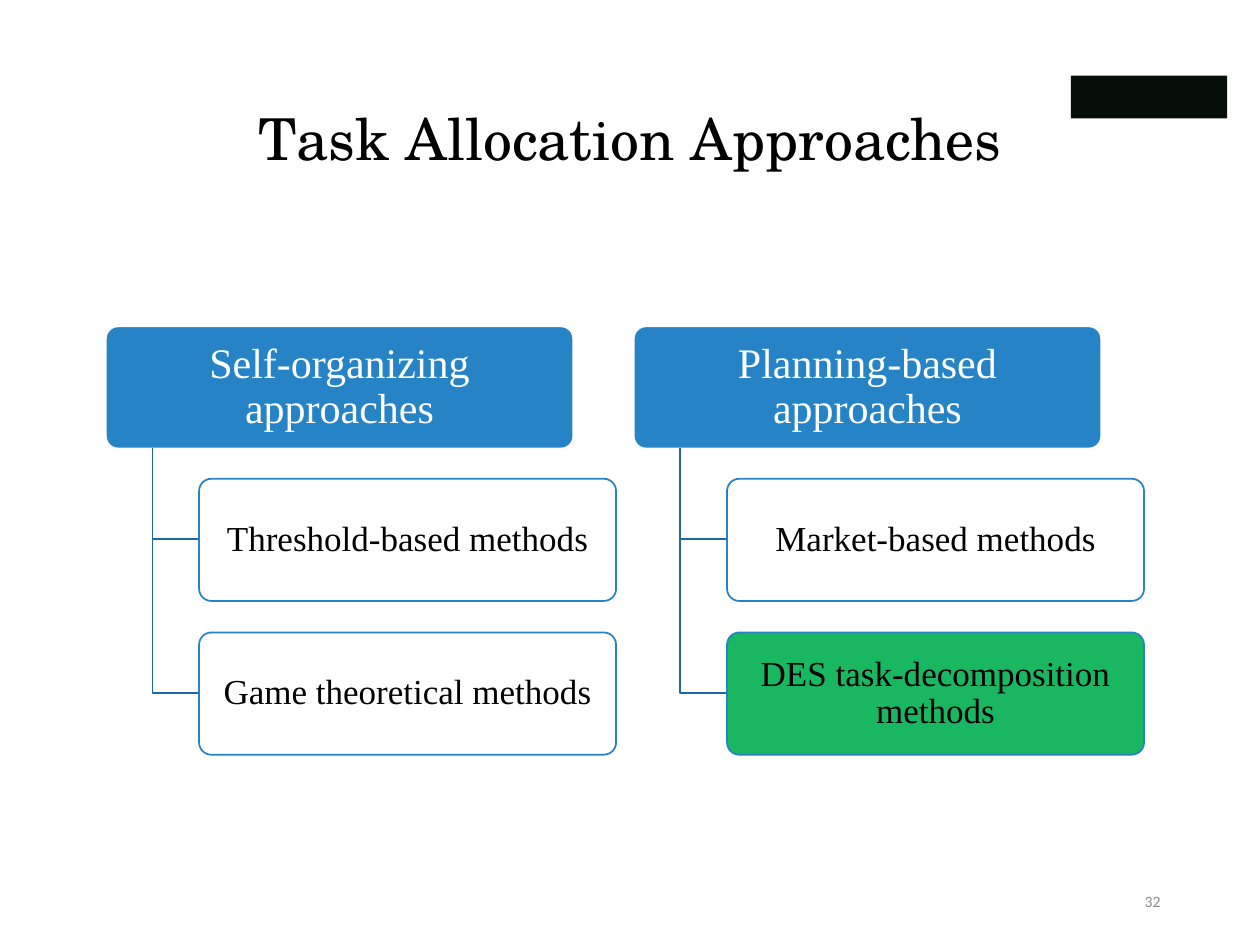
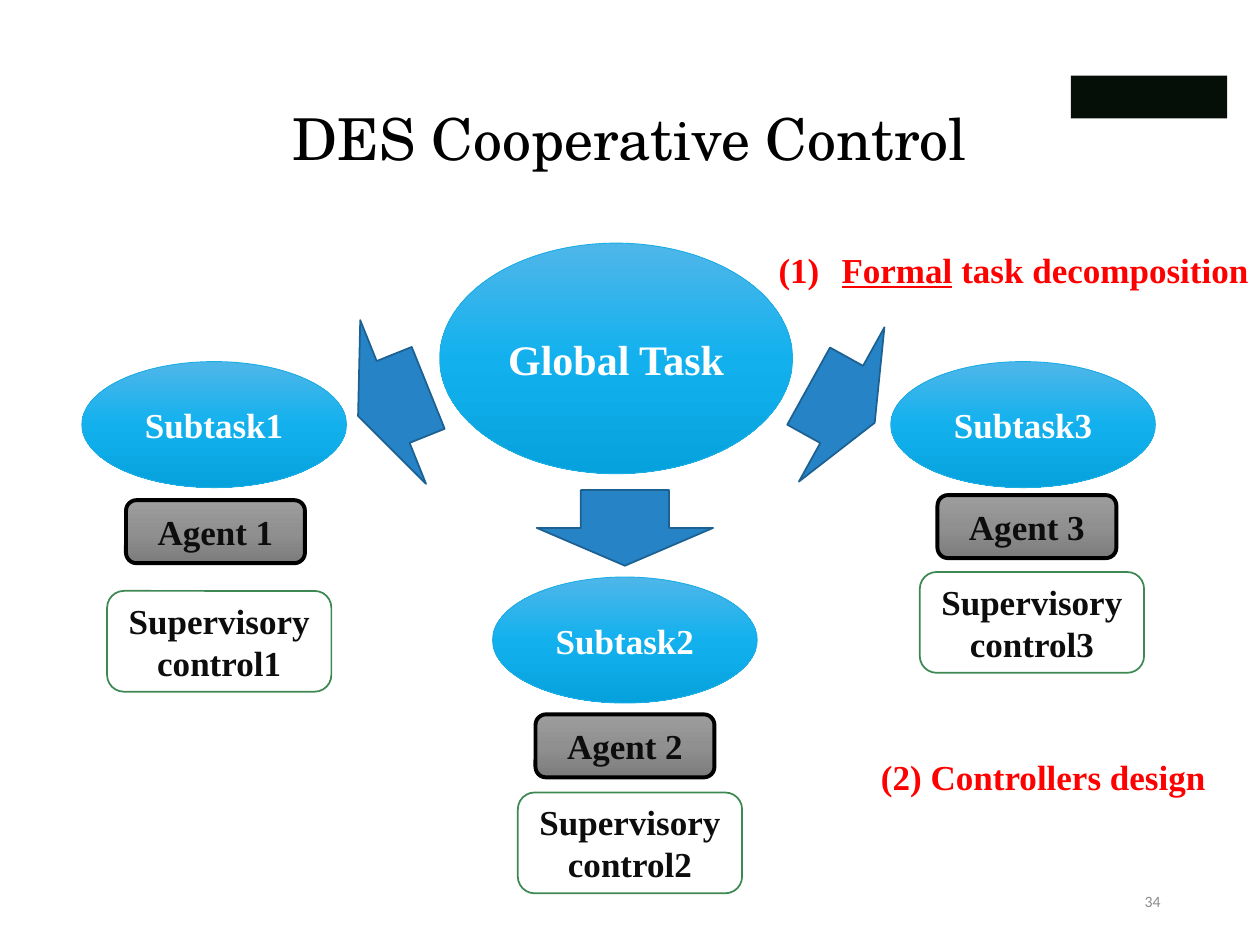
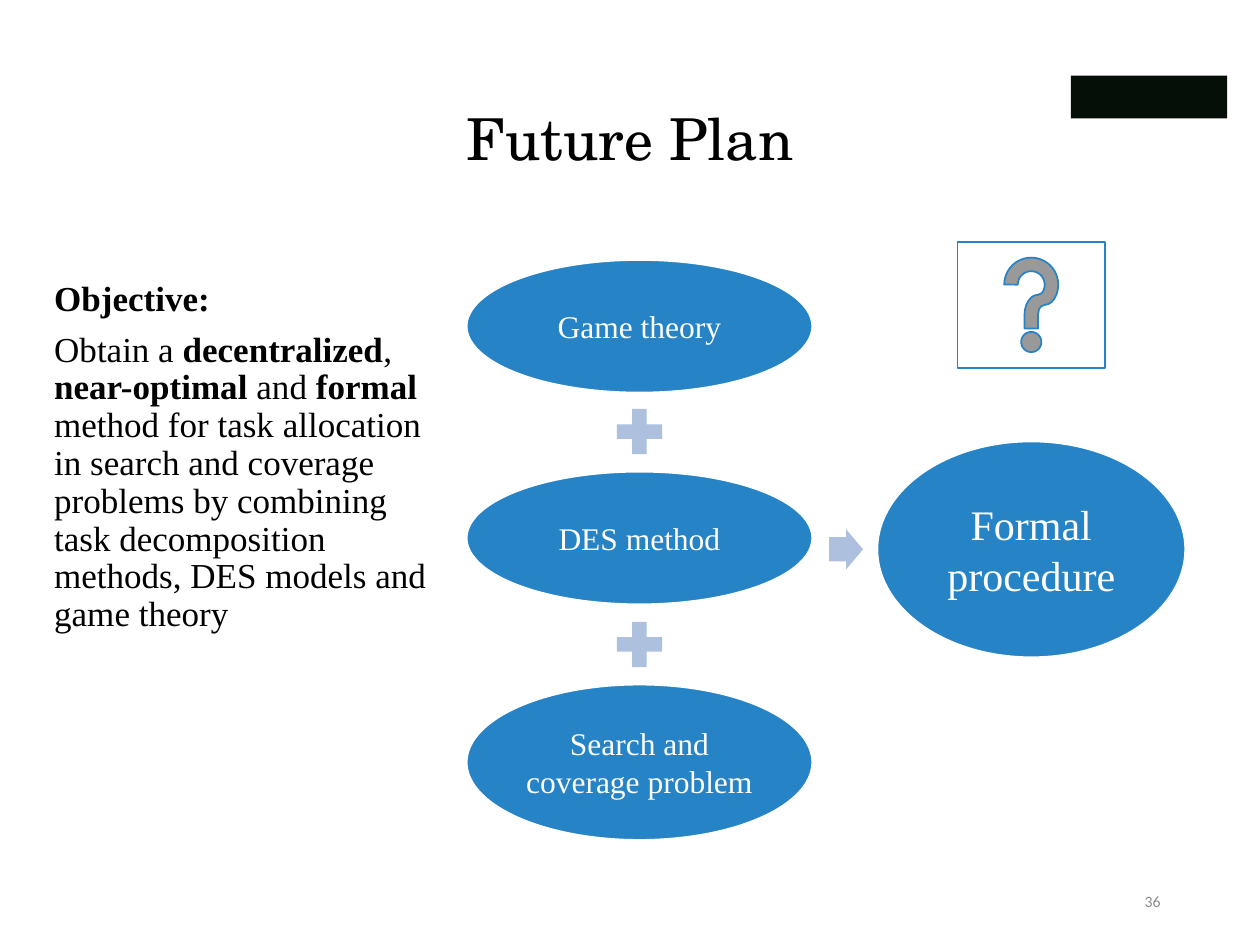
from lxml import etree
from pptx import Presentation
from pptx.dml.color import RGBColor
from pptx.enum.shapes import MSO_SHAPE
from pptx.enum.text import MSO_ANCHOR, MSO_AUTO_SIZE, PP_ALIGN
from pptx.oxml.ns import qn
from pptx.util import Inches, Pt

RECT, ROUND, OVAL = MSO_SHAPE.RECTANGLE, MSO_SHAPE.ROUNDED_RECTANGLE, MSO_SHAPE.OVAL
ARROW, PLUS, HELP = MSO_SHAPE.RIGHT_ARROW, MSO_SHAPE.MATH_PLUS, MSO_SHAPE.ACTION_BUTTON_HELP
LEFT, CENTER, RIGHT = PP_ALIGN.LEFT, PP_ALIGN.CENTER, PP_ALIGN.RIGHT
TOP, MIDDLE = MSO_ANCHOR.TOP, MSO_ANCHOR.MIDDLE
NO_FIT = MSO_AUTO_SIZE.NONE

COLORS = {
    "black": "000000", "white": "FFFFFF", "ink": "0D0D0D", "gray": "8C8C8C",
    "blue": "2683C6", "navy": "1C6192", "link": "1E699F", "pale": "ADC1DF",
    "sky": "1CADE4", "green": "00B050", "leaf": "3E8853", "red": "FF0000",
    "block": "060E08",
}
FADES = {
    "sky": ("4FB6E9", "12B1EE", "06A2DD"),
    "steel": ("9D9D9D", "909090", "7C7C7C"),
}
SERIF = "Times New Roman"


def write(shape, text, size=20, color="black", font=SERIF, bold=False, mark="bold",
          align=CENTER, anchor=MIDDLE, inset=None, lead=None, gap=0):
    """Fill a shape with text: line breaks part paragraphs, stars switch the mark."""
    frame = shape.text_frame
    frame.word_wrap = True
    frame.auto_size = NO_FIT
    frame.vertical_anchor = anchor
    if inset is not None:
        frame.margin_left = frame.margin_right = Inches(inset)
        frame.margin_top = frame.margin_bottom = Inches(0.03)
    for i, line in enumerate(text.split("\n")):
        para = frame.paragraphs[0] if i == 0 else frame.add_paragraph()
        para.alignment = align
        para.space_before = Pt(gap if i else 0)
        if lead:
            para.line_spacing = lead
        for j, part in enumerate(line.split("*")):
            if not part:
                continue
            run = para.add_run()
            run.text = part
            run.font.name = font
            run.font.size = Pt(size)
            run.font.bold = bold
            run.font.color.rgb = RGBColor.from_string(COLORS[color])
            if j % 2:
                setattr(run.font, mark, True)


def draw(slide, kind, box, fill=None, line=None, width=1, fade=None, alpha=None, adj=()):
    """Add a preset shape; fade names a vertical gradient, alpha is in percent."""
    shape = slide.shapes.add_shape(kind, *map(Inches, box))
    shape.shadow.inherit = False
    for i, value in enumerate(adj):
        shape.adjustments[i] = value
    if fade:
        shape.fill.gradient()
        shape.fill.gradient_angle = 270
        stops = shape._element.spPr.find(qn("a:gradFill")).find(qn("a:gsLst"))
        for stop in list(stops):
            stops.remove(stop)
        for i, tone in enumerate(FADES[fade]):
            stop = etree.SubElement(stops, qn("a:gs"), pos=str(i * 50000))
            etree.SubElement(stop, qn("a:srgbClr"), val=tone)
    else:
        shape.fill.solid()
        shape.fill.fore_color.rgb = RGBColor.from_string(COLORS[fill])
    if alpha:
        tone = shape._element.spPr.find(qn("a:solidFill"))[0]
        etree.SubElement(tone, qn("a:alpha"), val=str(alpha * 1000))
    if line:
        shape.line.color.rgb = RGBColor.from_string(COLORS[line])
        shape.line.width = Pt(width)
    else:
        shape.line.fill.background()
    return shape


prs = Presentation()
prs.slide_width, prs.slide_height = Inches(10), Inches(7.5)

# Shared title, page number and corner block
slides = []
for title, page, layout in [("Task Allocation Approaches", 32, 5),
                            ("DES Cooperative Control", 34, 5),
                            ("Future Plan", 36, 1)]:
    slide = prs.slides.add_slide(prs.slide_layouts[layout])
    head = slide.shapes.title
    head.left, head.top, head.width, head.height = map(Inches, (0.69, 0.4, 8.62, 1.45))
    write(head, title, size=33, font="TeX Gyre Schola", lead=0.9)
    foot = slide.shapes.add_textbox(*map(Inches, (7.06, 6.95, 2.25, 0.4)))
    write(foot, str(page), size=9, font="Calibri", color="gray", align=RIGHT)
    draw(slide, RECT, (8.5, 0.6, 1.24, 0.34), "block")
    slides.append(slide)
tree, tasks, plan = slides

# Task allocation: two trees with two methods each
groups = [
    ("Self-organizing approaches",
     [("Threshold-based methods", "white"), ("Game theoretical methods", "white")]),
    ("Planning-based approaches",
     [("Market-based methods", "white"), ("DES task-decomposition methods", "green")]),
]
for col, (name, methods) in enumerate(groups):
    left = 0.84 + col * 4.19
    root = draw(tree, ROUND, (left, 2.59, 3.71, 0.97), "blue", "white", adj=[0.1])
    write(root, name, size=24, color="white", inset=0.08, lead=0.9)
    for row, (method, fill) in enumerate(methods):
        top = 3.8 + row * 1.22
        stem, mid = left + 0.37, top + 0.48
        path = tree.shapes.build_freeform(Inches(stem), Inches(3.56), scale=1.0)
        path.add_line_segments([(Inches(stem), Inches(mid)),
                                (Inches(left + 0.74), Inches(mid))], close=False)
        elbow = path.convert_to_shape()
        elbow.shadow.inherit = False
        elbow.fill.background()
        elbow.line.color.rgb = RGBColor.from_string(COLORS["link"])
        elbow.line.width = Pt(1)
        leaf = draw(tree, ROUND, (left + 0.74, top, 3.31, 0.97), fill, "blue",
                    alpha=90, adj=[0.1])
        write(leaf, method, inset=0.07, lead=0.9)

# Cooperative control: the global task splits into three subtasks
goal = draw(tasks, OVAL, (3.49, 1.93, 2.8, 1.83), fade="sky", line="sky", width=0.5)
write(goal, "Global Task", size=24, color="white", bold=True)
for left, top, turn in [(6.38, 2.51, 29), (2.82, 2.49, 158.1), (4.66, 3.49, 90)]:
    arrow = draw(tasks, ARROW, (left, top, 0.6, 1.4), "blue", "navy")
    arrow.rotation = turn

spots = [  # subtask, agent and control corners
    ((0.65, 2.87), (1, 3.97), (0.85, 4.69)),
    ((3.91, 4.58), (4.25, 5.67), (4.11, 6.29)),
    ((7.07, 2.87), (7.44, 3.93), (7.3, 4.54)),
]
for num, (sub, agent, ctrl) in enumerate(spots, 1):
    shape = draw(tasks, OVAL, (*sub, 2.1, 1), fade="sky", line="sky", width=0.5)
    write(shape, f"Subtask{num}", color="white", bold=True)
    shape = draw(tasks, ROUND, (*ctrl, 1.78, 0.8), "white", "leaf")
    write(shape, f"Supervisory control{num}", color="ink", bold=True)
    shape = draw(tasks, ROUND, (*agent, 1.42, 0.5), fade="steel", line="black", width=2.25)
    write(shape, f"Agent {num}", color="ink", bold=True)

step = tasks.shapes.add_textbox(*map(Inches, (6.01, 1.92, 4.07, 0.44)))
props = step.text_frame.paragraphs[0]._p.get_or_add_pPr()
props.set("marL", str(Inches(0.5)))
props.set("indent", str(-Inches(0.5)))
etree.SubElement(props, qn("a:buAutoNum"), type="arabicParenBoth")
write(step, "*Formal* task decomposition", color="red", bold=True, mark="underline", anchor=TOP)
step = tasks.shapes.add_textbox(*map(Inches, (6.67, 5.95, 3.22, 0.44)))
write(step, "(2) Controllers design", color="red", bold=True, anchor=TOP)

# Future plan: objective on the left, sum of methods on the right
body = plan.placeholders[1]
body.left, body.top, body.width, body.height = map(Inches, (0.33, 2.18, 3.25, 4.08))
write(body, "*Objective:*\nObtain a *decentralized*, *near-optimal* and *formal* method for "
      "task allocation in search and coverage problems by combining task decomposition "
      "methods, DES models and game theory", align=LEFT, anchor=TOP, lead=0.9, gap=7.5)
for para in body.text_frame.paragraphs:
    props = para._p.get_or_add_pPr()
    props.set("marL", "0")
    props.set("indent", "0")
    etree.SubElement(props, qn("a:buNone"))

ovals = [
    ("Game theory", 18, (3.7, 2.06, 2.75, 1.06)),
    ("DES method", 18, (3.7, 3.74, 2.75, 1.06)),
    ("Search and coverage problem", 18, (3.7, 5.43, 2.75, 1.24)),
    ("Formal procedure", 24, (6.96, 3.5, 2.45, 1.72)),
]
for text, size, box in ovals:
    oval = draw(plan, OVAL, box, "blue", "white", 1.5)
    write(oval, text, size=size, color="white", inset=0.03)
for top in (3.18, 4.87):
    draw(plan, PLUS, (4.83, top, 0.49, 0.49), "pale")
draw(plan, ARROW, (6.58, 4.2, 0.27, 0.32), "pale", adj=[0.6, 0.5])
draw(plan, HELP, (7.6, 1.92, 1.17, 1), "white", "blue")

prs.save("out.pptx")
